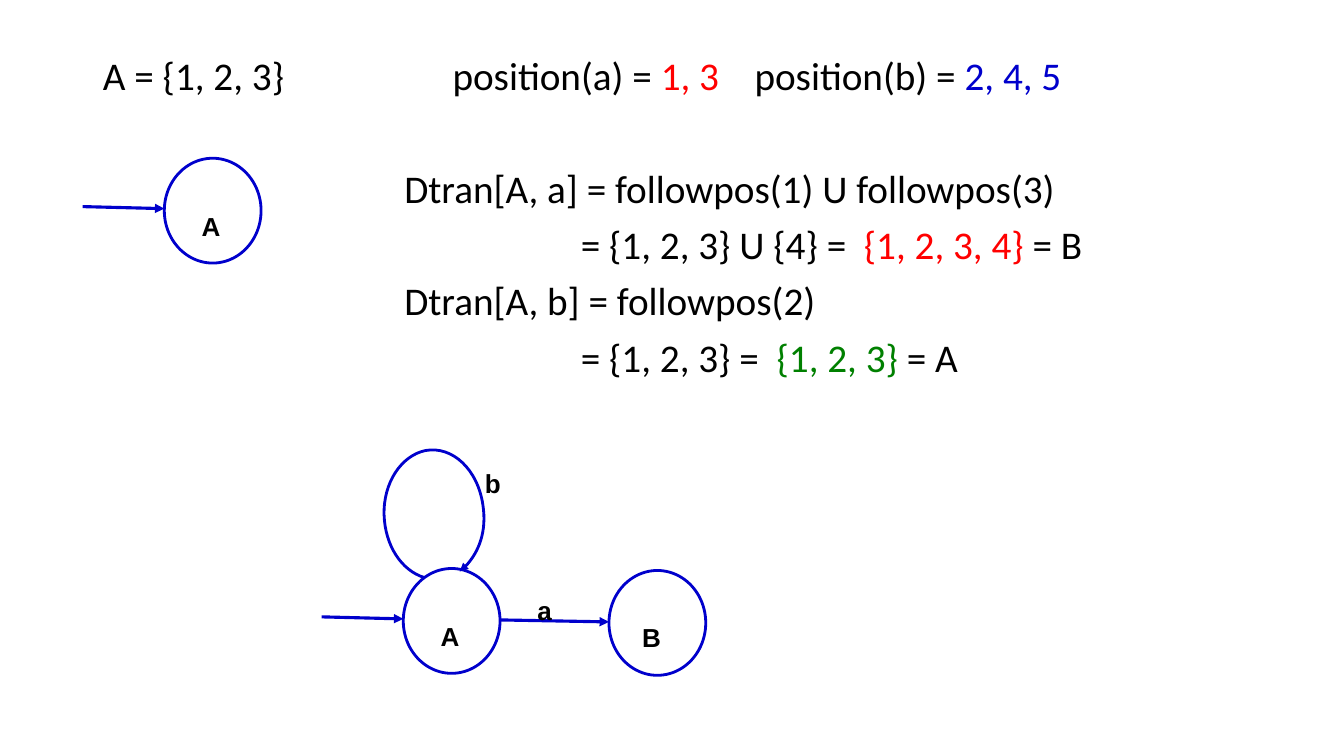
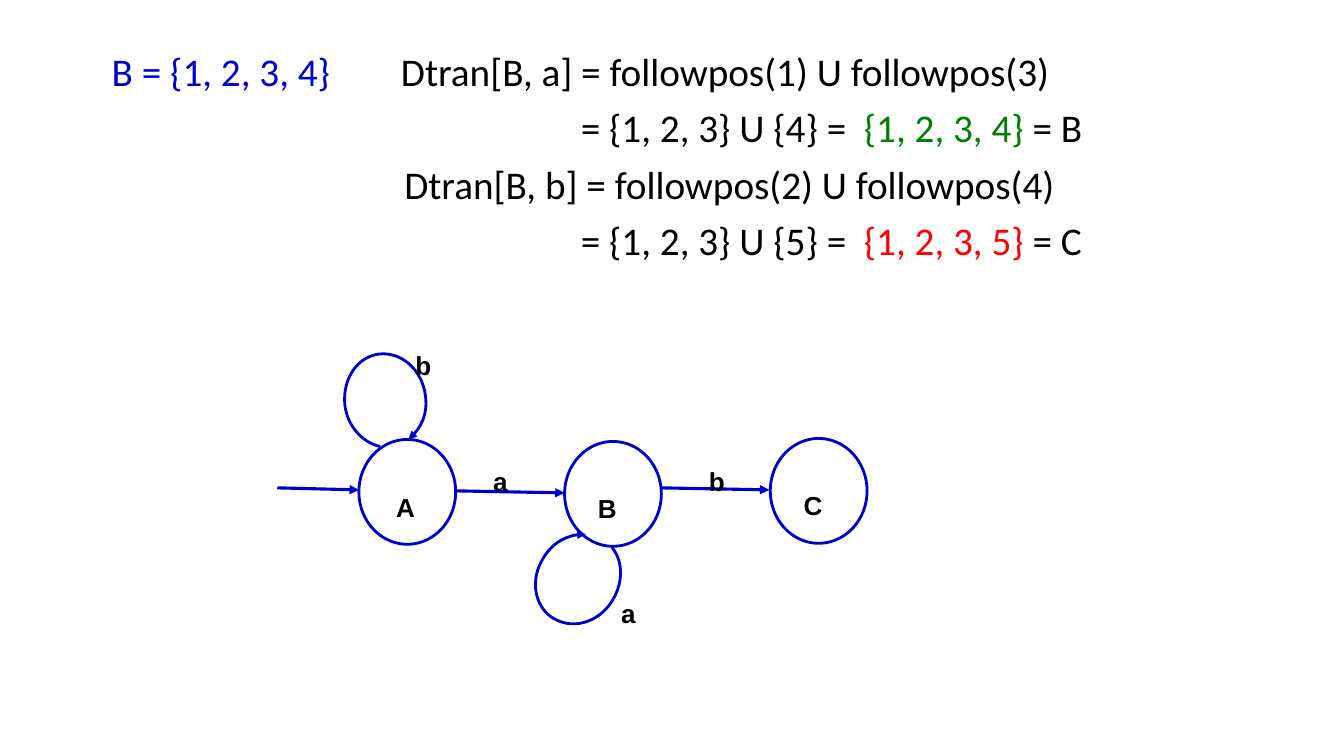
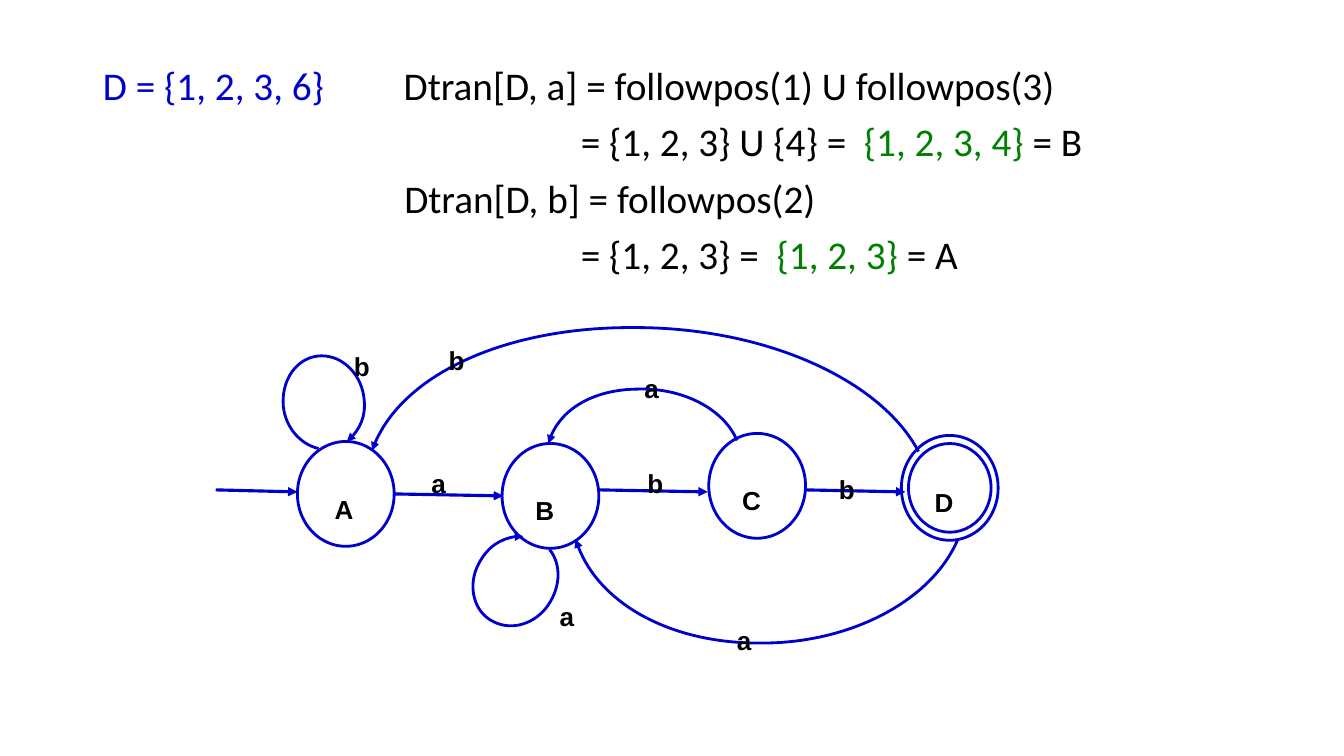
import pptx
import pptx.dml.color
import pptx.enum.shapes
import pptx.enum.text
import pptx.oxml.ns
import pptx.util
from dataclasses import dataclass
from lxml import etree
from pptx.util import Inches, Pt


@dataclass(frozen=True)
class Theme:
    black: str = "000000"
    blue: str = "0000CC"
    red: str = "FF0000"
    green: str = "008000"
    body_font: str = "Calibri"
    body_size: int = 28
    body_space: float = 6.33
    label_font: str = "Arial"
    label_size: int = 32
    arc_width: float = 2
    arrow_width: float = 2.25


THEME = Theme()
qn = pptx.oxml.ns.qn

# Indents of the text lines, in inches from the left edge of the text
MARGIN, RULE, RESULT = 0, 2.99, 4.74
LINE_GAP, SECTION_GAP = 10, 50.4

STATE_W, STATE_H = 0.96, 1.04
ENTRY_LENGTH, ARROW_DROP = 0.81, 0.02
FINAL_INSET = (0.07, 0.08)

# Cubic curves: a start point, then two handles and an end point per segment
TALL_LOOP = [(0.21, 0.09), (-0.02, 0.02), (-0.18, -0.23), (-0.19, -0.53),
             (-0.2, -0.85), (-0.02, -1.12), (0.22, -1.17),
             (0.49, -1.22), (0.74, -0.98), (0.79, -0.63),
             (0.83, -0.37), (0.73, -0.1), (0.56, 0.03)]
TOP_LOOP = [(0.21, 0.07), (0.03, 0.03), (-0.12, -0.14), (-0.14, -0.35),
            (-0.16, -0.58), (-0.04, -0.79), (0.16, -0.84),
            (0.37, -0.89), (0.59, -0.74), (0.65, -0.49),
            (0.69, -0.3), (0.63, -0.11), (0.49, 0)]
BOTTOM_LOOP = [(0.47, 1.05), (0.59, 1.2), (0.58, 1.42), (0.46, 1.6),
               (0.33, 1.79), (0.1, 1.86), (-0.08, 1.77),
               (-0.28, 1.68), (-0.35, 1.41), (-0.23, 1.19),
               (-0.14, 1.02), (0.04, 0.91), (0.21, 0.92)]
C_TO_B = [(7.31, 4.37), (7.18, 4.06), (6.78, 3.85), (6.34, 3.86),
          (5.9, 3.86), (5.52, 4.08), (5.44, 4.4)]
D_TO_A = [(9.11, 4.48), (8.73, 3.76), (7.58, 3.25), (6.3, 3.25),
          (5.02, 3.24), (3.94, 3.74), (3.69, 4.47)]
D_TO_B = [(9.5, 5.35), (9.25, 5.95), (8.45, 6.38), (7.56, 6.38),
          (6.66, 6.39), (5.89, 5.96), (5.71, 5.35)]
PAGE = (0, 0)

# A number among the runs is one space, stretched to that many space widths.
# lines: indent, space before, runs; states: letter, left, top;
# arrows: start x, start y, end x; arcs: curve, origin; labels: letter, left, top
STEPS = [
    dict(
        top=0.51,
        lines=[
            (MARGIN, LINE_GAP, [("A = {1, 2, 3}", THEME.black), (19, THEME.black),
                                ("position(a) = ", THEME.black), ("1, 3", THEME.red),
                                (4, THEME.black), ("position(b) = ", THEME.black),
                                ("2, 4, 5", THEME.blue)]),
            (RULE, SECTION_GAP, [("Dtran[A, a] = followpos(1) U followpos(3)", THEME.black)]),
            (RESULT, LINE_GAP, [("= {1, 2, 3} U {4} =", THEME.black), (2, THEME.black),
                                ("{1, 2, 3, 4}", THEME.red), (" = B", THEME.black)]),
            (RULE, LINE_GAP, [("Dtran[A, b] = followpos(2)", THEME.black)]),
            (RESULT, LINE_GAP, [("= {1, 2, 3} =", THEME.black), (2, THEME.black),
                                ("{1, 2, 3}", THEME.green), (" = A", THEME.black)]),
        ],
        states=[("A", 1.63, 1.57), ("A", 4, 5.64), ("B", 6.04, 5.66)],
        arrows=[(4.96, 6.15, 6.04)],
        arcs=[(TALL_LOOP, (4, 5.64))],
        labels=[("a", 5.18, 5.55), ("b", 4.66, 4.29)],
    ),
    dict(
        top=0.47,
        lines=[
            (MARGIN, LINE_GAP, [(" B = {1, 2, 3, 4}", THEME.blue), (8, THEME.blue),
                                ("Dtran[B, a] = followpos(1) U followpos(3)", THEME.black)]),
            (RESULT, LINE_GAP, [("= {1, 2, 3} U {4} =", THEME.black), (2, THEME.black),
                                ("{1, 2, 3, 4}", THEME.green), (" = B", THEME.black)]),
            (RULE, LINE_GAP, [("Dtran[B, b] = followpos(2) U followpos(4)", THEME.black)]),
            (RESULT, LINE_GAP, [("= {1, 2, 3} U {5} =", THEME.black), (2, THEME.black),
                                ("{1, 2, 3, 5}", THEME.red), (" = C", THEME.black)]),
        ],
        states=[("A", 3.56, 4.36), ("B", 5.6, 4.38), ("C", 7.64, 4.35)],
        arrows=[(4.52, 4.87, 5.6), (6.55, 4.84, 7.63)],
        arcs=[(TOP_LOOP, (3.56, 4.36)), (BOTTOM_LOOP, (5.6, 4.38))],
        labels=[("a", 4.74, 4.27), ("b", 3.97, 3.12), ("b", 6.88, 4.27), ("a", 6.01, 5.58)],
    ),
    dict(
        top=0.61,
        lines=[
            (MARGIN, LINE_GAP, [("D = {1, 2, 3, 6}", THEME.blue), (9, THEME.blue),
                                ("Dtran[D, a] = followpos(1) U followpos(3)", THEME.black)]),
            (RESULT, LINE_GAP, [("= {1, 2, 3} U {4} =", THEME.black), (2, THEME.black),
                                ("{1, 2, 3, 4}", THEME.green), (" = B", THEME.black)]),
            (RULE, LINE_GAP, [("Dtran[D, b] = followpos(2)", THEME.black)]),
            (RESULT, LINE_GAP, [("= {1, 2, 3} =", THEME.black), (2, THEME.black),
                                ("{1, 2, 3}", THEME.green), (" = A", THEME.black)]),
        ],
        states=[("A", 2.95, 4.38), ("B", 4.98, 4.4), ("C", 7.03, 4.3), ("D", 8.94, 4.32)],
        arrows=[(3.91, 4.9, 4.99), (5.94, 4.86, 7.02), (7.98, 4.86, 8.98)],
        arcs=[(TOP_LOOP, (2.95, 4.38)), (BOTTOM_LOOP, (4.98, 4.4)),
              (C_TO_B, PAGE), (D_TO_A, PAGE), (D_TO_B, PAGE)],
        labels=[("a", 4.13, 4.29), ("b", 3.36, 3.13), ("b", 6.27, 4.29), ("a", 5.4, 5.61),
                ("a", 6.24, 3.35), ("b", 8.17, 4.35), ("b", 4.3, 3.07), ("a", 7.16, 5.85)],
    ),
]


def style_outline(part, width, arrow=False):
    """Give a state, arc or arrow its blue line, without fill or shadow."""
    part.line.color.rgb = pptx.dml.color.RGBColor.from_string(THEME.blue)
    part.line.width = Pt(width)
    properties = part._element.spPr
    if arrow:
        etree.SubElement(properties.find(qn("a:ln")), qn("a:tailEnd"), type="triangle")
    if hasattr(part, "fill"):
        part.fill.background()
        part.shadow.inherit = False
    else:
        etree.SubElement(properties, qn("a:effectLst"))


def add_curve(slide, curve, origin):
    """Draw a freeform whose points are joined, three at a time, as cubic segments."""
    start, *rest = [(Inches(x + origin[0]), Inches(y + origin[1])) for x, y in curve]
    builder = slide.shapes.build_freeform(*start)
    builder.add_line_segments(rest, close=False)
    arc = builder.convert_to_shape()
    straight = list(arc._element.spPr.iter(qn("a:lnTo")))
    outline = straight[0].getparent()
    for i in range(0, len(straight), 3):
        cubic = etree.SubElement(outline, qn("a:cubicBezTo"))
        for segment in straight[i:i + 3]:
            cubic.append(segment[0])
            outline.remove(segment)
    return arc


presentation = pptx.Presentation()
presentation.slide_width, presentation.slide_height = Inches(13.33), Inches(7.5)

for step in STEPS:
    slide = presentation.slides.add_slide(presentation.slide_layouts[1])
    title = slide.shapes.title._element
    title.getparent().remove(title)

    derivation = slide.placeholders[1]
    derivation.left, derivation.top = Inches(0.92), Inches(step["top"])
    derivation.width, derivation.height = Inches(11.5), Inches(6.75 - step["top"])
    frame = derivation.text_frame
    frame.auto_size = pptx.enum.text.MSO_AUTO_SIZE.NONE
    for number, (indent, gap, runs) in enumerate(step["lines"]):
        line = frame.add_paragraph() if number else frame.paragraphs[0]
        line.line_spacing = 0.9
        line.space_before = Pt(gap)
        layout = line._p.get_or_add_pPr()
        layout.set("marL", str(Inches(indent)))
        layout.set("indent", "0")
        etree.SubElement(layout, qn("a:buNone"))
        for words, colour in runs:
            run = line.add_run()
            if isinstance(words, int):
                run.text = " "
                stretch = round((words - 1) * THEME.body_space * 100)
                run._r.get_or_add_rPr().set("spc", str(stretch))
            else:
                run.text = words
            run.font.name, run.font.size = THEME.body_font, Pt(THEME.body_size)
            run.font.color.rgb = pptx.dml.color.RGBColor.from_string(colour)

    arrows = list(step["arrows"])
    labels = list(step["labels"])
    for letter, left, top in step["states"]:
        rings = [(0, 0), FINAL_INSET] if letter == "D" else [(0, 0)]
        for inset_x, inset_y in rings:
            state = slide.shapes.add_shape(
                pptx.enum.shapes.MSO_SHAPE.OVAL, Inches(left + inset_x), Inches(top + inset_y),
                Inches(STATE_W - 2 * inset_x), Inches(STATE_H - 2 * inset_y))
            style_outline(state, THEME.arc_width)
        if letter == "A":
            arrows.append((left - ENTRY_LENGTH, top + 0.48, left))
            labels.append((letter, left + 0.22, top + 0.17))
        else:
            labels.append((letter, left + 0.18, top + 0.16))

    for start_x, start_y, end_x in arrows:
        arrow = slide.shapes.add_connector(
            pptx.enum.shapes.MSO_CONNECTOR.STRAIGHT, Inches(start_x), Inches(start_y),
            Inches(end_x), Inches(start_y + ARROW_DROP))
        style_outline(arrow, THEME.arrow_width, arrow=True)

    for curve, origin in step["arcs"]:
        style_outline(add_curve(slide, curve, origin), THEME.arc_width, arrow=True)

    for letter, left, top in labels:
        label = slide.shapes.add_textbox(Inches(left), Inches(top), Inches(0.47), Inches(0.64))
        label.text_frame.word_wrap = True
        label.text_frame.margin_left = Inches(0.15)
        label.text_frame.margin_right = 0
        run = label.text_frame.paragraphs[0].add_run()
        run.text = letter
        run.font.name, run.font.size = THEME.label_font, Pt(THEME.label_size)
        run.font.bold = True
        run.font.color.rgb = pptx.dml.color.RGBColor.from_string(THEME.black)
        run._r.get_or_add_rPr().set("baseline", "-25000")

presentation.save("out.pptx")
